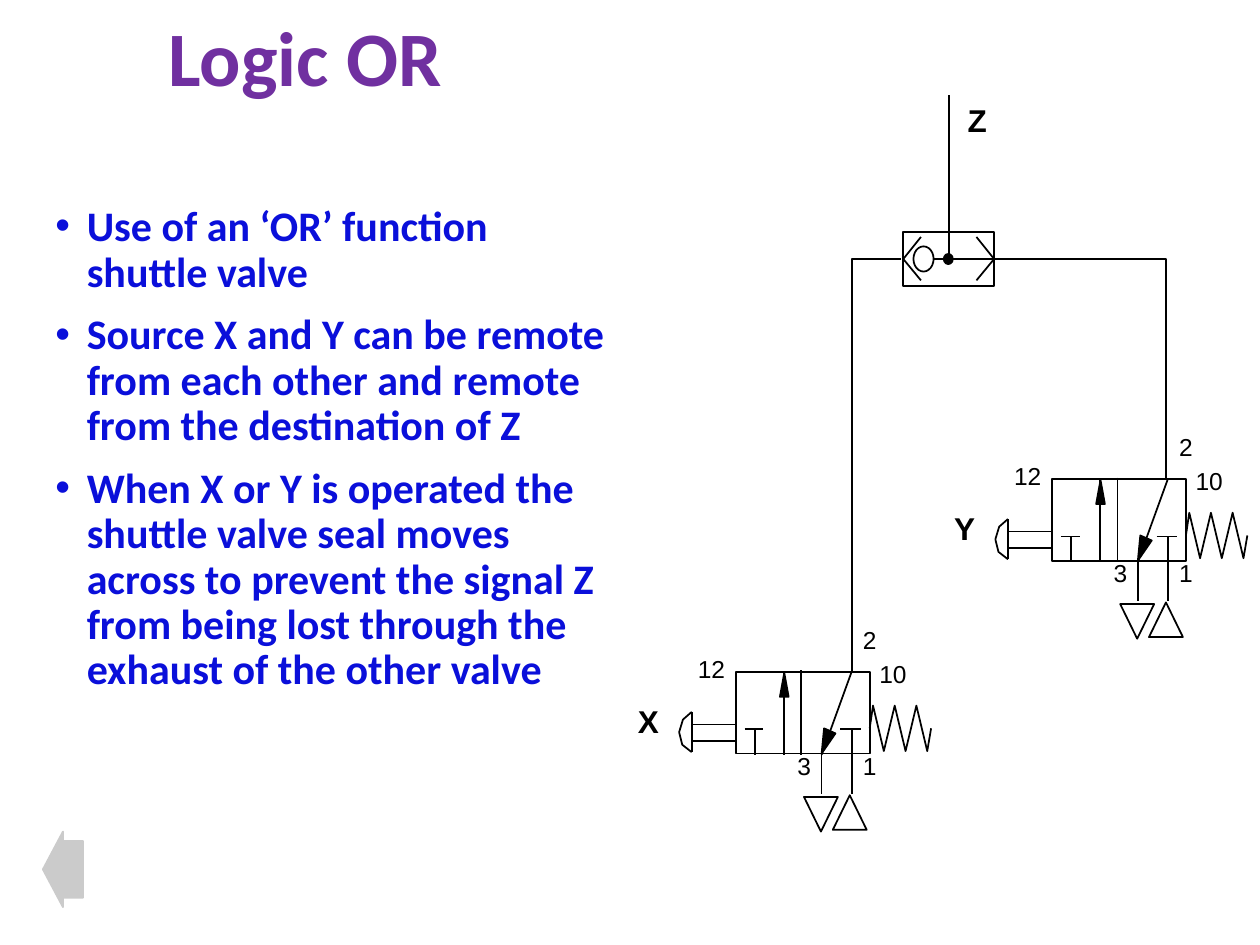
"""Build the Logic OR slide: bullets beside a pneumatic shuttle valve circuit."""
from lxml import etree
from pptx import Presentation
from pptx import util as u
from pptx.dml.color import RGBColor
from pptx.enum import shapes as s, text as t
from pptx.oxml import ns

HUES = {"title": "7030A0", "body": "0A0FDA", "ink": "000000", "back": "CBCBCB"}
TITLE = "Logic OR"
POINTS = [
    "Use of an ‘OR’ function shuttle valve",
    "Source X and Y can be remote from each other and remote from the destination of Z",
    "When X or Y is operated the shuttle valve seal moves across to prevent "
    "the signal Z from being lost through the exhaust of the other valve",
]

VALVES = {"Y": (601.2, 273.6), "X": (420.5, 383.8)}
BODY = (76.5, 46.8)
PORTS = [("1", 65.5, 41.8, 22.3), ("2", 65.5, -30.2, 22.3), ("3", 28.1, 41.8, 22.3),
         ("12", -28.8, -13.7, 30.2), ("10", 74.9, -10.8, 30.2)]
LINES = [
    (49, 46.8, 49, 70), (66.2, 46.8, 66.2, 70),
    (66.2, 33, 66.2, 47.5), (59.8, 33, 71.3, 33),
    (5, 33, 15.8, 33), (10.8, 33, 10.8, 47.5),
    (37.4, -0.7, 37.4, 47.5), (66.2, 0, 49, 47.5), (27.4, 47.5, 27.4, 0),
    (-25.2, 23, -25.2, 46), (-24.5, 30.2, -0.7, 30.2), (-24.5, 39.6, -0.7, 39.6),
]
HEADS = [[(27.7, 0.7), (25.2, 14.4), (30.2, 14.4)],
         [(49, 46.8), (50.4, 32.4), (56.9, 35.3)]]
KNOB = [(-25.2, 23), (-30.2, 27.4), (-32.4, 34.6), (-30.6, 41.8), (-25.2, 46)]
PEAKS = 6
SPRING = ([(111.6, 32.4)]
          + [(109.4 - 6.2 * i, 19.4 if i % 2 else 45.4) for i in range(PEAKS)]
          + [(76.5, 32.4)])
VENTS = [(55.4, 70.6, 0), (38.9, 71.6, 180)]

BOX = (516.2, 132.5, 51.9, 31)
MID = BOX[1] + BOX[3] / 2
SEATS = [[(526.3, 135.4), (516.2, MID), (526.3, 160.2)],
         [(558, 135.4), (568.1, MID), (558, 160.2)]]
PIPES = [[(486.7, 384), (486.7, MID), (514.8, MID)],
         [(568.1, MID), (666.2, MID), (666.2, 273.6)]]

deck = Presentation()
deck.slide_width, deck.slide_height = u.Pt(720), u.Pt(540)
slide = deck.slides.add_slide(deck.slide_layouts[6])
items = slide.shapes


def hue(name):
    return RGBColor.from_string(HUES[name])


def paint(shape, fill=None, edge="ink"):
    shape.shadow.inherit = False
    if fill:
        shape.fill.solid()
        shape.fill.fore_color.rgb = hue(fill)
    else:
        shape.fill.background()
    shape.line.color.rgb = hue(edge)
    shape.line.width = u.Pt(1)
    return shape


def preset(kind, x, y, w, h, fill=None, edge="ink"):
    return paint(items.add_shape(kind, *map(u.Pt, (x, y, w, h))), fill, edge)


def line(x1, y1, x2, y2):
    link = items.add_connector(s.MSO_CONNECTOR.STRAIGHT, *map(u.Pt, (x1, y1, x2, y2)))
    link.line.color.rgb = hue("ink")
    link.line.width = u.Pt(1)
    etree.SubElement(link._element.spPr, ns.qn("a:effectLst"))
    return link


def trace(dots, x=0, y=0, fill=None):
    spots = [(u.Pt(x + a), u.Pt(y + b)) for a, b in dots]
    pen = items.build_freeform(*spots[0])
    pen.add_line_segments(spots[1:], close=bool(fill))
    paint(pen.convert_to_shape(), fill)


def bullet(para):
    props = para._p.get_or_add_pPr()
    props.set("marL", str(u.Pt(18)))
    props.set("indent", str(-u.Pt(18)))
    tint = etree.SubElement(props, ns.qn("a:buClr"))
    etree.SubElement(tint, ns.qn("a:srgbClr"), val=HUES["body"])
    etree.SubElement(props, ns.qn("a:buFont"), typeface="Arial")
    etree.SubElement(props, ns.qn("a:buChar"), char="•")


def write(words, x, y, w, h, size, bold=True):
    frame = items.add_textbox(*map(u.Pt, (x, y, w, h))).text_frame
    frame.word_wrap = False
    frame.auto_size = t.MSO_AUTO_SIZE.SHAPE_TO_FIT_TEXT
    frame.text = words
    style(frame.paragraphs[0], size, "Arial", "ink", bold)


def prose(rows, x, y, w, h, size, tone, marks=False):
    frame = items.add_textbox(*map(u.Pt, (x, y, w, h))).text_frame
    frame.word_wrap = True
    frame.text = "\n".join(rows)
    for i, para in enumerate(frame.paragraphs):
        if marks:
            bullet(para)
        para.line_spacing = 0.9
        if i:
            para.space_before = u.Pt(10)
        style(para, size, "Calibri", tone, True)
    return frame


def style(para, size, face, tone, bold):
    font = para.font
    font.size, font.name, font.bold = u.Pt(size), face, bold
    font.color.rgb = hue(tone)


def valve(name, x, y):
    write(name, x - 63, y + 13.7, 26.6, 28.8, 18)
    for x1, y1, x2, y2 in LINES:
        line(x + x1, y + y1, x + x2, y + y2)
    for head in HEADS:
        trace(head, x, y, "ink")
    preset(s.MSO_SHAPE.RECTANGLE, x, y, *BODY)
    for port, dx, dy, w in PORTS:
        write(port, x + dx, y + dy, w, 24, 14, False)
    for dx, dy, turn in VENTS:
        vent = preset(s.MSO_SHAPE.ISOSCELES_TRIANGLE, x + dx, y + dy, 19.4, 19.8)
        vent.rotation = turn
    trace(SPRING, x, y)
    trace(KNOB, x, y)


def shuttle():
    box = preset(s.MSO_SHAPE.RECTANGLE, *BOX)
    line(542.2, MID, 542.2, 54)
    line(533.5, MID, BOX[0] + BOX[2], MID).end_connect(box, 3)
    preset(s.MSO_SHAPE.OVAL, 539.3, MID - 2.9, 5.2, 5.8, "ink")
    preset(s.MSO_SHAPE.OVAL, 522, MID - 7.2, 11.5, 14.4)
    for dots in SEATS + PIPES:
        trace(dots)
    write("Z", 545.8, 54, 25.9, 28.8, 18)


title = prose([TITLE], 89.3, 5.8, 537.8, 58.3, 44, "title")
title.vertical_anchor = t.MSO_ANCHOR.MIDDLE
prose(POINTS, 24.5, 113.8, 329.8, 354.2, 24, "body", True)
for name, spot in VALVES.items():
    valve(name, *spot)
shuttle()
back = preset(s.MSO_SHAPE.LEFT_ARROW, 24.5, 475.2, 23, 43.2, "back", "back")
back.adjustments[0] = 0.75
deck.save("out.pptx")
